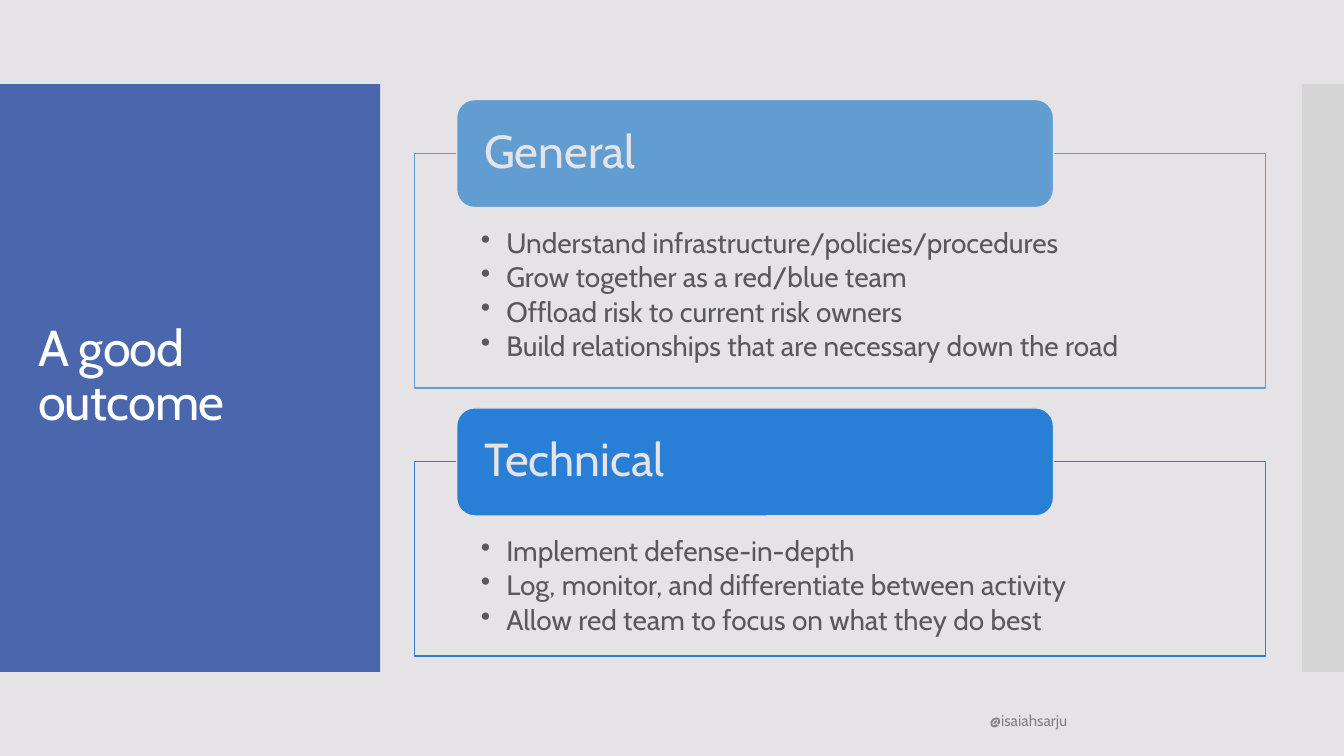
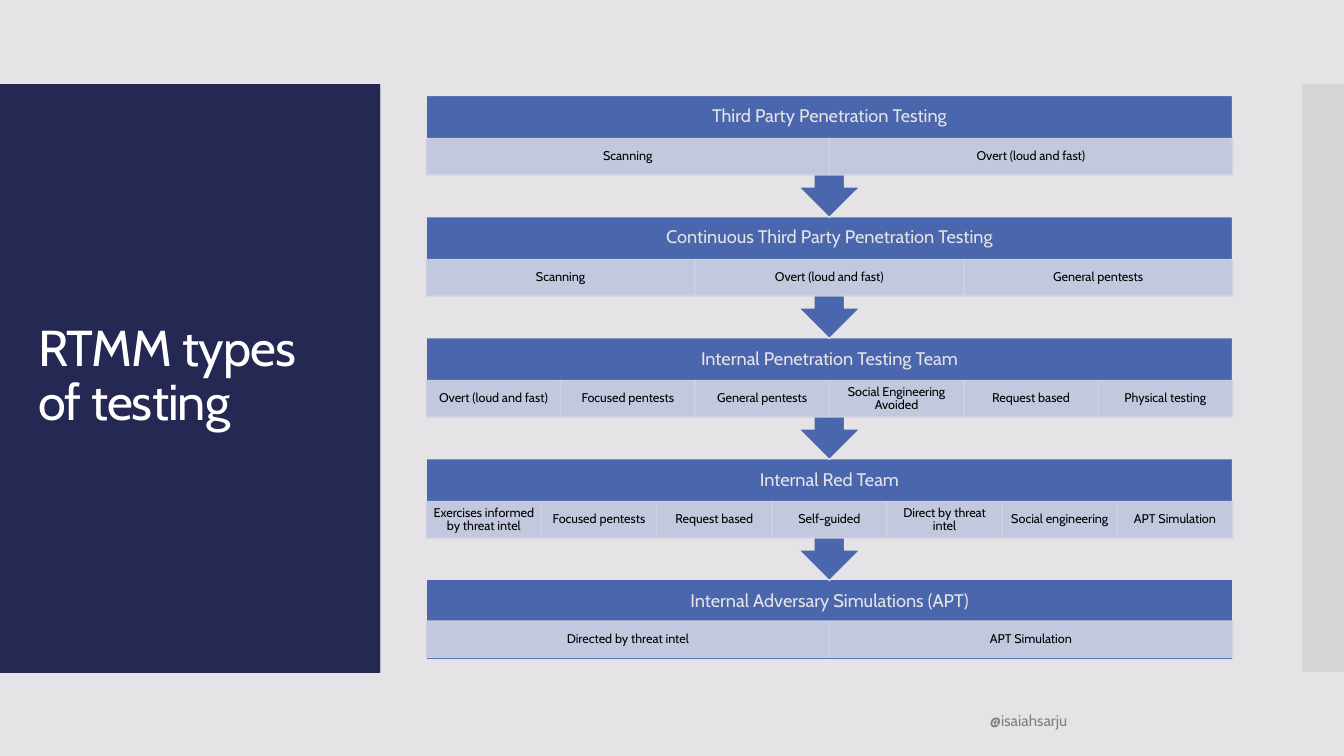
import dataclasses

import pptx
import pptx.dml.color
import pptx.enum.shapes
import pptx.enum.text
import pptx.oxml
import pptx.oxml.ns
import pptx.util

Cm = pptx.util.Cm
Pt = pptx.util.Pt
SHAPES = pptx.enum.shapes.MSO_SHAPE
ALIGN = pptx.enum.text.PP_ALIGN
ANCHOR = pptx.enum.text.MSO_ANCHOR


@dataclasses.dataclass(frozen=True)
class Theme:
    font: str = "Cabin"
    paper: str = "E5E3E6"
    blue: str = "4A66AC"
    navy: str = "242852"
    sky: str = "629DD1"
    azure: str = "297FD5"
    pale: str = "D0D3E3"
    edge: str = "C8C8C8"
    white: str = "FFFFFF"
    black: str = "000000"
    body: str = "595959"
    muted: str = "808080"
    title_size: float = 36
    heading_size: float = 33
    bullet_size: float = 20
    stage_size: float = 13
    footer_size: float = 11
    activity_size: float = 9
    outline: float = 0.85
    tight: float = 0.9


THEME = Theme()
PANEL = (0, 2.12, 9.58, 14.81)

OUTCOMES = [
    ("General", THEME.sky, 3.86, 5.92, [
        "Understand infrastructure/policies/procedures",
        "Grow together as a red/blue team",
        "Offload risk to current risk owners",
        "Build relationships that are necessary down the road",
    ]),
    ("Technical", THEME.azure, 11.63, 4.9, [
        "Implement defense-in-depth",
        "Log, monitor, and differentiate between activity",
        "Allow red team to focus on what they do best",
    ]),
]

STAGES = [
    ("Third Party Penetration Testing",
     ["Scanning", "Overt (loud and fast)"]),
    ("Continuous Third Party Penetration Testing",
     ["Scanning", "Overt (loud and fast)", "General pentests"]),
    ("Internal Penetration Testing Team",
     ["Overt (loud and fast)", "Focused pentests", "General pentests",
      "Social Engineering Avoided", "Request based", "Physical testing"]),
    ("Internal Red Team",
     ["Exercises informed by threat intel", "Focused pentests",
      "Request based", "Self-guided", "Direct by threat intel",
      "Social engineering", "APT Simulation"]),
    ("Internal Adversary Simulations (APT)",
     ["Directed by threat intel", "APT Simulation"]),
]


# Basic elements
def rgb(code):
    return pptx.dml.color.RGBColor.from_string(code)


def fade(shape, paint, percent):
    """Set the opacity of one paint of a shape."""
    for color in shape.element.spPr.xpath(f"{paint}/a:srgbClr"):
        alpha = pptx.oxml.parse_xml(
            f'<a:alpha {pptx.oxml.ns.nsdecls("a")} val="{percent * 1000}"/>')
        color.append(alpha)


def add_box(slide, preset, area, fill, line=None):
    box = slide.shapes.add_shape(preset, *map(Cm, area))
    box.shadow.inherit = False
    box.fill.solid()
    box.fill.fore_color.rgb = rgb(fill)
    if line:
        box.line.color.rgb = rgb(line)
        box.line.width = Pt(THEME.outline)
    else:
        box.line.fill.background()
    return box


def write(shape, text, size, color, align=ALIGN.LEFT, anchor=ANCHOR.MIDDLE,
          insets=(0.25, 0.13, 0.25, 0.13), after=0.0, spacing=THEME.tight):
    """Fill a shape with text; after is a share of the type size."""
    frame = shape.text_frame
    frame.text = text
    frame.word_wrap = True
    frame.auto_size = pptx.enum.text.MSO_AUTO_SIZE.NONE
    frame.vertical_anchor = anchor
    (frame.margin_left, frame.margin_top,
     frame.margin_right, frame.margin_bottom) = map(Cm, insets)
    for paragraph in frame.paragraphs:
        paragraph.alignment = align
        paragraph.line_spacing = spacing
        paragraph.space_before = Pt(0)
        paragraph.space_after = Pt(after * size)
        for run in paragraph.runs:
            run.font.name = THEME.font
            run.font.size = Pt(size)
            run.font.color.rgb = rgb(color)


def add_bullets(shape, indent):
    for paragraph in shape.text_frame.paragraphs:
        properties = paragraph._p.get_or_add_pPr()
        properties.set("marL", str(int(Cm(indent))))
        properties.set("indent", str(-int(Cm(indent))))
        properties.append(pptx.oxml.parse_xml(
            f'<a:buChar {pptx.oxml.ns.nsdecls("a")} char="\u2022"/>'))


# Shared slide parts
def move_bands_to_layout(slide):
    """Draw the two side bands once, on the layout."""
    panel = add_box(slide, SHAPES.RECTANGLE, PANEL, THEME.blue)
    edge = add_box(slide, SHAPES.RECTANGLE, (32.81, 2.12, 1.06, 14.81),
                   THEME.edge)
    fade(edge, "a:solidFill", 50)
    for band in (panel, edge):
        slide.slide_layout.shapes.element.append(band.element)


def format_title(slide, text):
    title = slide.shapes.title
    title.left, title.top, title.width, title.height = map(
        Cm, (0.71, 3.12, 8.18, 12.78))
    write(title, text, THEME.title_size, THEME.white)
    for run in title.text_frame.paragraphs[0].runs:
        run.font._element.set("spc", "-60")


def add_footer(slide):
    footer = slide.shapes.add_textbox(*map(Cm, (10.74, 17.65, 16.41, 1.02)))
    write(footer, "@isaiahsarju", THEME.footer_size, THEME.muted,
          ALIGN.RIGHT, spacing=1.0)


# Content parts
def add_outcome(slide, heading, color, top, height, points):
    frame = add_box(slide, SHAPES.RECTANGLE, (10.44, top, 21.46, height),
                    THEME.paper, color)
    fade(frame, "a:solidFill", 90)
    write(frame, "\n".join(points), THEME.bullet_size, THEME.body,
          anchor=ANCHOR.TOP, insets=(1.68, 1.91, 1.68, 0.41), after=0.15)
    add_bullets(frame, 0.64)
    tab = add_box(slide, SHAPES.ROUNDED_RECTANGLE,
                  (11.51, top - 1.35, 15.04, 2.72), color, THEME.paper)
    write(tab, heading, THEME.heading_size, THEME.paper,
          insets=(0.56, 0, 0.56, 0), after=0.35)


def add_stage(slide, name, activities, top, is_last):
    left, width = 10.74, 20.32
    if is_last:
        add_box(slide, SHAPES.RECTANGLE, (left, top, width, 2.01),
                THEME.blue, THEME.paper)
    else:
        callout = add_box(slide, SHAPES.UP_ARROW_CALLOUT,
                          (left, top, width, 3.07), THEME.blue, THEME.paper)
        callout.rotation = 180
    heading = slide.shapes.add_textbox(*map(Cm, (left, top, width, 1.08)))
    write(heading, name, THEME.stage_size, THEME.paper, ALIGN.CENTER,
          insets=(0.25,) * 4, after=0.35)

    # Activities share the width equally
    cell_top = top + (1.04 if is_last else 1.08)
    cell_width = width / len(activities)
    for column, activity in enumerate(activities):
        cell = add_box(slide, SHAPES.RECTANGLE,
                       (left + column * cell_width, cell_top, cell_width, 0.92),
                       THEME.pale, THEME.pale)
        fade(cell, "a:solidFill", 90)
        fade(cell, "a:ln/a:solidFill", 90)
        write(cell, activity, THEME.activity_size, THEME.black, ALIGN.CENTER,
              insets=(0.18, 0.03, 0.18, 0.03), after=0.35)


# Slides
def build_outcome_slide(slide):
    format_title(slide, "A good outcome")
    for outcome in OUTCOMES:
        add_outcome(slide, *outcome)
    add_footer(slide)


def build_testing_slide(slide):
    format_title(slide, "RTMM types of testing")
    panel = add_box(slide, SHAPES.RECTANGLE, PANEL[:3] + (14.84,), THEME.navy)
    slide.shapes.title.element.addprevious(panel.element)
    # From the bottom up, so each arrow lies over the next stage
    last = len(STAGES) - 1
    for row in range(last, -1, -1):
        name, activities = STAGES[row]
        add_stage(slide, name, activities, 2.41 + row * 3.05, row == last)
    add_footer(slide)


def main():
    deck = pptx.Presentation()
    deck.slide_width, deck.slide_height = Cm(33.87), Cm(19.05)
    background = deck.slide_master.background.fill
    background.solid()
    background.fore_color.rgb = rgb(THEME.paper)

    title_only = deck.slide_layouts[5]
    outcome_slide = deck.slides.add_slide(title_only)
    testing_slide = deck.slides.add_slide(title_only)
    move_bands_to_layout(outcome_slide)
    build_outcome_slide(outcome_slide)
    build_testing_slide(testing_slide)
    deck.save("out.pptx")


main()
